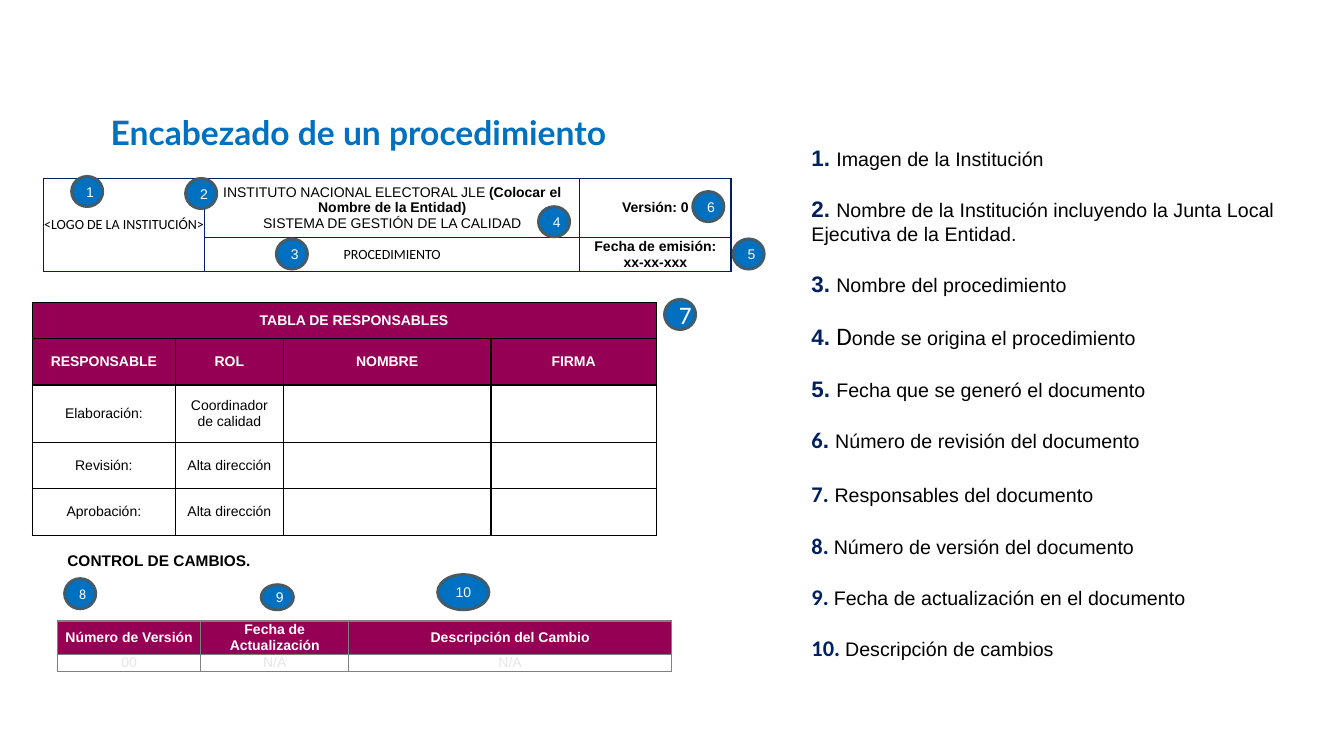
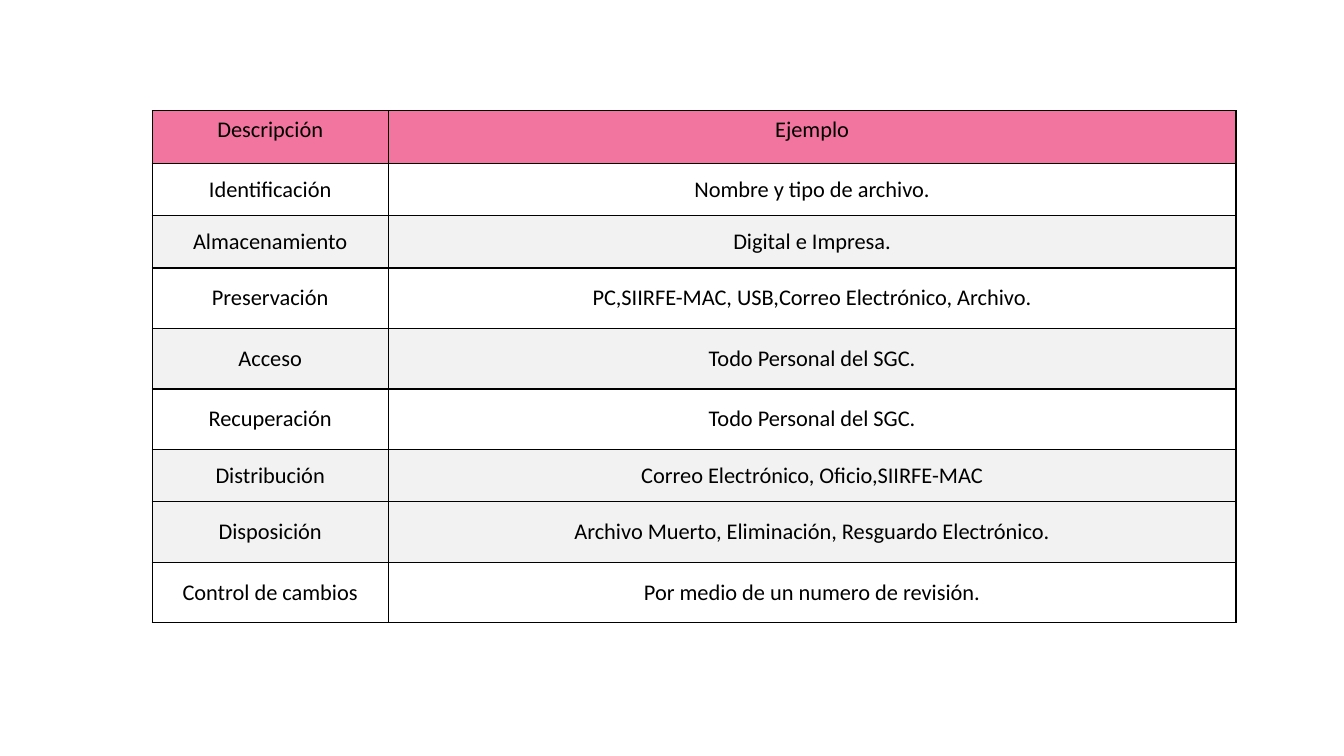
"""Build two slides on the header and record control of a procedure."""
from lxml import etree
from pptx import Presentation
from pptx.dml.color import RGBColor
from pptx.enum.shapes import MSO_SHAPE
from pptx.enum.text import MSO_ANCHOR, PP_ALIGN
from pptx.oxml.ns import qn
from pptx.util import Inches, Pt

OVAL = MSO_SHAPE.OVAL
TOP, MIDDLE = MSO_ANCHOR.TOP, MSO_ANCHOR.MIDDLE
LEFT, CENTER = PP_ALIGN.LEFT, PP_ALIGN.CENTER

COLORS = {
    "blue": "0070C0", "navy": "002060", "slate": "465B65", "plum": "950054",
    "pink": "F275A0", "band": "F2F2F2", "gray": "808080", "pale": "E7E6E6",
    "black": "000000", "white": "FFFFFF",
}

STYLES = {
    "title": ("Lato", 24, "blue", True),
    "subtitle": ("Arial", 11, "black", True),
    "number": ("Arial", 16, "navy", True),
    "number alt": ("Calibri", 16, "navy", True),
    "item": ("Arial", 14, "black", False),
    "large": ("Calibri", 18, "black", False),
    "cell": ("Arial", 10, "black", False),
    "cell bold": ("Arial", 10, "black", True),
    "cell alt": ("Calibri", 10, "black", False),
    "cell pale": ("Arial", 10, "pale", False),
    "head": ("Arial", 10, "white", True),
    "badge": ("Arial", 10, "white", False),
    "badge alt": ("Calibri", 10, "white", False),
    "badge large": ("Calibri", 18, "white", False),
    "record": ("Calibri", 16, "black", False),
}

LEGEND = [
    [("1. ", "number"), ("Imagen de la Institución", "item")],
    [("2. ", "number"),
     ("Nombre de la Institución incluyendo la Junta Local Ejecutiva de la Entidad.", "item")],
    [("3. ", "number"), ("Nombre del procedimiento", "item")],
    [("4. ", "number"), ("D", "large"), ("onde se origina el procedimiento", "item")],
    [("5. ", "number"), ("Fecha que se generó el documento", "item")],
    [("6", "number alt"), (". ", "number"), ("Número de revisión del documento", "item")],
    [("7.", "number alt"), (" ", "large"), ("Responsables del documento", "item")],
    [("8. ", "number alt"), ("Número de versión del documento", "item")],
    [("9. ", "number alt"), ("Fecha de actualización en el documento", "item")],
    [("10. ", "number alt"), ("Descripción de cambios", "item")],
]

HEADER_ROWS = [
    [[[("<LOGO DE LA INSTITUCIÓN>", "cell alt")]],
     [[("INSTITUTO NACIONAL ELECTORAL JLE ", "cell"),
       ("(Colocar el Nombre de la Entidad)", "cell bold")],
      [("SISTEMA DE GESTIÓN DE LA CALIDAD", "cell")]],
     [[("Versión: 0", "cell bold")]]],
    [None,
     [[("PROCEDIMIENTO", "cell alt")]],
     [[("Fecha de emisión:", "cell bold")], [("xx-xx-xxx", "cell bold")]]],
]

RESPONSIBLE_ROWS = [
    ["TABLA DE RESPONSABLES", None, None, None],
    ["RESPONSABLE", "ROL", "NOMBRE", "FIRMA"],
    ["Elaboración:", "Coordinador de calidad", None, None],
    ["Revisión:", "Alta dirección", None, None],
    ["Aprobación:", "Alta dirección", None, None],
]

CHANGE_ROWS = [
    ["Número de Versión", "Fecha de Actualización", "Descripción del Cambio"],
    ["00", "N/A", "N/A"],
]

RECORD_ROWS = [
    ["Descripción", "Ejemplo"],
    ["Identificación", "Nombre y tipo de archivo."],
    ["Almacenamiento", "Digital e Impresa."],
    ["Preservación", "PC,SIIRFE-MAC, USB,Correo Electrónico, Archivo."],
    ["Acceso", "Todo Personal del SGC."],
    ["Recuperación", "Todo Personal del SGC."],
    ["Distribución", "Correo Electrónico, Oficio,SIIRFE-MAC"],
    ["Disposición", "Archivo Muerto, Eliminación, Resguardo Electrónico."],
    ["Control de cambios", "Por medio de un numero de revisión."],
]
RECORD_FILLS = ["pink", None, "band", None, "band", None, "band", "band", None]

BADGE_SIZE = (0.31, 0.3)
BADGES = [
    ("1", 0.71, 1.75, BADGE_SIZE, "badge"),
    ("2", 1.84, 1.77, BADGE_SIZE, "badge"),
    ("3", 2.74, 2.37, BADGE_SIZE, "badge"),
    ("4", 5.34, 2.05, BADGE_SIZE, "badge"),
    ("5", 7.27, 2.37, BADGE_SIZE, "badge"),
    ("6", 6.87, 1.9, BADGE_SIZE, "badge"),
    ("7", 6.59, 2.97, BADGE_SIZE, "badge large"),
    ("8", 0.64, 5.74, BADGE_SIZE, "badge alt"),
    ("9", 2.59, 5.8, (0.32, 0.25), "badge"),
    ("10", 4.34, 5.7, (0.51, 0.35), "badge"),
]


def color(name):
    return RGBColor.from_string(COLORS[name])


def write(frame, paragraphs, align=LEFT, gap=0):
    """Fill a text frame with paragraphs made of (text, style) runs."""
    for index, runs in enumerate(paragraphs):
        para = frame.add_paragraph() if index else frame.paragraphs[0]
        para.alignment = align
        if index and gap:
            para.space_before = Pt(gap)
        for text, style in runs:
            span = para.add_run()
            span.text = text
            name, size, tint, bold = STYLES[style]
            span.font.name, span.font.size, span.font.bold = name, Pt(size), bold
            span.font.color.rgb = color(tint)


def add_text(page, place, paragraphs, inset=0.05, anchor=TOP, wrap=True, gap=0):
    box = page.shapes.add_textbox(*map(Inches, place))
    frame = box.text_frame
    frame.word_wrap = wrap
    frame.vertical_anchor = anchor
    frame.margin_top = frame.margin_bottom = Inches(inset)
    write(frame, paragraphs, gap=gap)


def add_badge(page, number, left, top, size, style):
    badge = page.shapes.add_shape(OVAL, *map(Inches, (left, top, *size)))
    badge.shadow.inherit = False
    badge.fill.solid()
    badge.fill.fore_color.rgb = color("blue")
    badge.line.color.rgb = color("slate")
    badge.line.width = Pt(2)
    badge.text_frame.vertical_anchor = MIDDLE
    write(badge.text_frame, [[(number, style)]], CENTER)


def set_borders(cell, tint):
    properties = cell._tc.get_or_add_tcPr()
    for side in ("a:lnL", "a:lnR", "a:lnT", "a:lnB"):
        line = etree.SubElement(properties, qn(side), w=str(Pt(1)))
        fill = etree.SubElement(line, qn("a:solidFill"))
        etree.SubElement(fill, qn("a:srgbClr"), val=COLORS[tint])


def styled(rows, styles):
    """Turn plain rows into rows of paragraphs, with one style per row."""
    return [[[[(text, style)]] if text else None for text in row]
            for row, style in zip(rows, styles)]


def add_grid(page, left, top, widths, heights, rows, fills, border, inset):
    place = map(Inches, (left, top, sum(widths), sum(heights)))
    grid = page.shapes.add_table(len(heights), len(widths), *place).table
    grid.first_row = grid.horz_banding = False
    for column, width in zip(grid.columns, widths):
        column.width = Inches(width)
    for row, height, contents, fill in zip(grid.rows, heights, rows, fills):
        row.height = Inches(height)
        for cell, paragraphs in zip(row.cells, contents):
            set_borders(cell, border)
            cell.vertical_anchor = MIDDLE
            cell.margin_left = cell.margin_right = Inches(inset[0])
            cell.margin_top = cell.margin_bottom = Inches(inset[1])
            if fill:
                cell.fill.solid()
                cell.fill.fore_color.rgb = color(fill)
            else:
                cell.fill.background()
            write(cell.text_frame, paragraphs or [], CENTER)
    return grid


def build_header_page(page):
    add_text(page, (7.95, 1.33, 4.79, 4.08), LEGEND, inset=0.1, gap=17.25)
    add_text(page, (1, 1.06, 5.56, 0.37), [[("Encabezado de un procedimiento", "title")]])

    header = add_grid(page, 0.43, 1.77, [1.6, 3.72, 1.5], [0.59, 0.33],
                      HEADER_ROWS, [None, None], "navy", (0, 0))
    header.cell(0, 0).merge(header.cell(1, 0))

    people = add_grid(page, 0.32, 3, [1.42, 1.07, 2.06, 1.64],
                      [0.36, 0.46, 0.57, 0.46, 0.46],
                      styled(RESPONSIBLE_ROWS, ["head"] * 2 + ["cell"] * 3),
                      ["plum"] * 2 + [None] * 3, "black", (0.07, 0.07))
    people.cell(0, 0).merge(people.cell(0, 3))
    people.cell(0, 0).margin_left = Inches(0.26)

    add_grid(page, 0.57, 6.16, [1.42, 1.47, 3.2], [0.32, 0.16],
             styled(CHANGE_ROWS, ["head", "cell pale"]), ["plum", None],
             "gray", (0.07, 0))
    for badge in BADGES:
        add_badge(page, *badge)
    add_text(page, (0.57, 5.41, 2.04, 0.29), [[("CONTROL DE CAMBIOS.", "subtitle")]],
             anchor=MIDDLE, wrap=False)


def build_record_page(page):
    heights = [0.52] * 3 + [0.6] * 3 + [0.52] + [0.6] * 2
    records = add_grid(page, 1.51, 1.1, [2.34, 8.41], heights,
                       styled(RECORD_ROWS, ["record"] * len(RECORD_ROWS)),
                       RECORD_FILLS, "black", (0.1, 0.05))
    for cell in records.rows[0].cells:
        cell.vertical_anchor = TOP


def main():
    deck = Presentation()
    deck.slide_width, deck.slide_height = Inches(13.33), Inches(7.5)
    for build in (build_header_page, build_record_page):
        build(deck.slides.add_slide(deck.slide_layouts[6]))
    deck.save("out.pptx")


if __name__ == "__main__":
    main()
